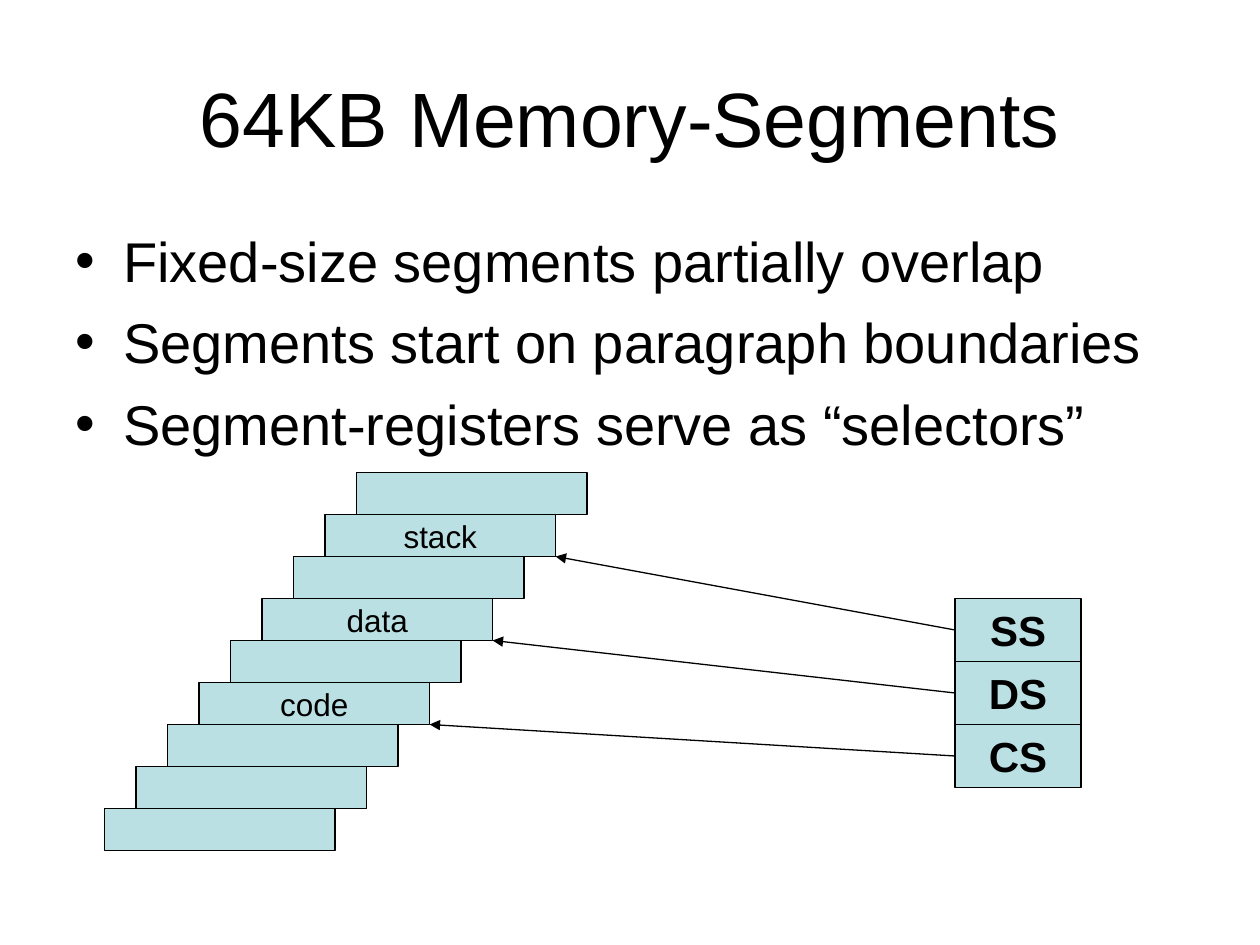
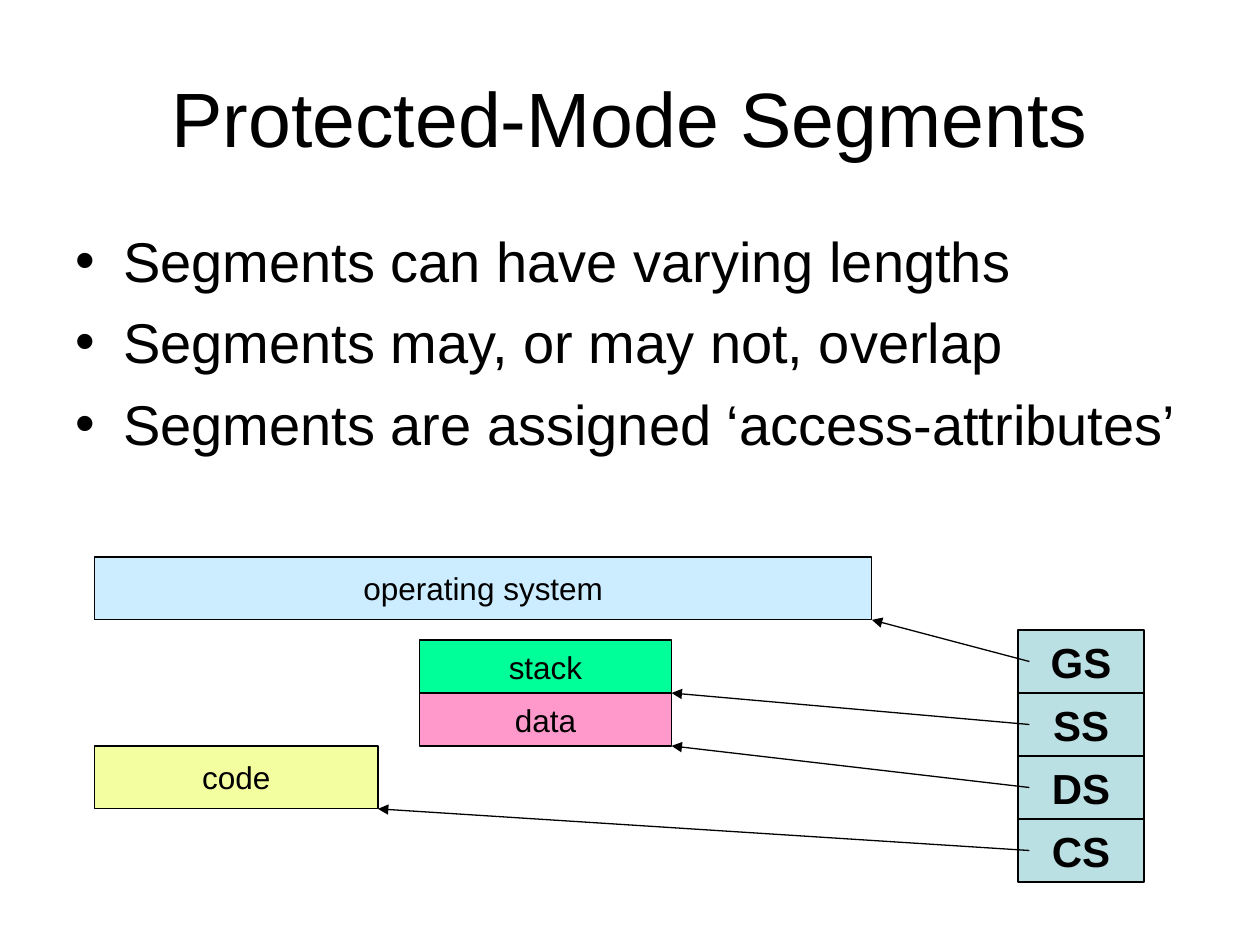
from lxml.etree import SubElement
from pptx import Presentation
from pptx.dml.color import RGBColor
from pptx.enum.shapes import MSO_CONNECTOR, MSO_SHAPE
from pptx.enum.text import MSO_ANCHOR, MSO_AUTO_SIZE, PP_ALIGN
from pptx.oxml.ns import qn
from pptx.util import Inches, Pt

FONT = "Arial"
BLACK = "000000"
TEAL = "BBE0E3"
LINE_WIDTH = Pt(0.75)
TITLE_ONLY = 5
REGISTER_WIDTH, REGISTER_HEIGHT = 1, 0.5


def color(hex_code):
    return RGBColor.from_string(hex_code)


def place(shape, left, top, width, height):
    shape.left, shape.top = Inches(left), Inches(top)
    shape.width, shape.height = Inches(width), Inches(height)


def write(frame, *lines, size, bold=False, align=PP_ALIGN.CENTER,
          anchor=MSO_ANCHOR.MIDDLE, wrap=True, before=0):
    """Fill a text frame with one paragraph per line and return the paragraphs."""
    frame.word_wrap = wrap
    frame.auto_size = MSO_AUTO_SIZE.NONE
    frame.vertical_anchor = anchor
    for index, line in enumerate(lines):
        paragraph = frame.paragraphs[0] if index == 0 else frame.add_paragraph()
        paragraph.alignment = align
        paragraph.space_before = Pt(before)
        run = paragraph.add_run()
        run.text = line
        run.font.name, run.font.size, run.font.bold = FONT, Pt(size), bold
        run.font.color.rgb = color(BLACK)
    return frame.paragraphs


def add_bullet(paragraph, indent=0.38):
    properties = paragraph._p.get_or_add_pPr()
    properties.set("marL", str(Inches(indent)))
    properties.set("indent", str(-Inches(indent)))
    SubElement(properties, qn("a:buFont"), typeface=FONT)
    SubElement(properties, qn("a:buChar"), char="•")


def add_topic_slide(deck, title, points):
    slide = deck.slides.add_slide(deck.slide_layouts[TITLE_ONLY])
    place(slide.shapes.title, 0.5, 0.3, 9, 1.25)
    write(slide.shapes.title.text_frame, title, size=44)
    body = slide.shapes.add_textbox(
        Inches(0.5), Inches(1.75), Inches(9), Inches(4.95))
    for paragraph in write(body.text_frame, *points, size=32, before=8,
                           align=PP_ALIGN.LEFT, anchor=MSO_ANCHOR.TOP):
        add_bullet(paragraph)
    return slide


def add_box(slide, left, top, width, height, label="", fill=TEAL, **text_format):
    box = slide.shapes.add_shape(MSO_SHAPE.RECTANGLE, Inches(left), Inches(top),
                                 Inches(width), Inches(height))
    box.shadow.inherit = False
    box.fill.solid()
    box.fill.fore_color.rgb = color(fill)
    box.line.color.rgb = color(BLACK)
    box.line.width = LINE_WIDTH
    if label:
        write(box.text_frame, label, wrap=False, **{"size": 18, **text_format})
    return box


def add_selector(slide, register, segment, inset):
    """Draw an arrow from a register to the lower right corner of its segment."""
    arrow = slide.shapes.add_connector(
        MSO_CONNECTOR.STRAIGHT,
        register.left + Inches(inset), register.top + register.height // 2,
        segment.left + segment.width, segment.top + segment.height)
    arrow.line.color.rgb = color(BLACK)
    arrow.line.width = LINE_WIDTH
    properties = arrow.element.spPr
    SubElement(properties.find(qn("a:ln")), qn("a:tailEnd"), type="triangle")
    SubElement(properties, qn("a:effectLst"))


def add_registers(slide, left, top, targets, inset=0):
    """Stack the registers, then point each one at its segment."""
    registers = [
        add_box(slide, left, top + row * REGISTER_HEIGHT, REGISTER_WIDTH,
                REGISTER_HEIGHT, name, size=24, bold=True)
        for row, name in enumerate(targets)]
    for register, segment in zip(registers, targets.values()):
        add_selector(slide, register, segment, inset)


def build_memory_segments(deck):
    slide = add_topic_slide(deck, "64KB Memory-Segments", [
        "Fixed-size segments partially overlap",
        "Segments start on paragraph boundaries",
        "Segment-registers serve as “selectors”"])
    step_labels = ["", "stack", "", "data", "", "code", "", "", ""]
    step_height = 1 / 3
    segments = {
        label: add_box(slide, 2.83 - 0.25 * step, 3.75 + step_height * step,
                       1.83, step_height, label)
        for step, label in enumerate(step_labels)}
    add_registers(slide, 7.58, 4.75, {
        "SS": segments["stack"], "DS": segments["data"], "CS": segments["code"]})


def build_protected_mode(deck):
    slide = add_topic_slide(deck, "Protected-Mode Segments", [
        "Segments can have varying lengths",
        "Segments may, or may not, overlap",
        "Segments are assigned ‘access-attributes’"])
    code = add_box(slide, 0.75, 5.92, 2.25, 0.5, "code", "F3FEA0")
    data = add_box(slide, 3.33, 5.5, 2, 0.42, "data", "FF99CC")
    stack = add_box(slide, 3.33, 5.08, 2, 0.42, "stack", "00FF99")
    system = add_box(slide, 0.75, 4.42, 6.17, 0.5, "operating system", "CCECFF")
    add_registers(slide, 8.08, 5, {
        "GS": system, "SS": stack, "DS": data, "CS": code}, inset=0.09)


def main():
    deck = Presentation()
    deck.slide_width, deck.slide_height = Inches(10), Inches(7.5)
    build_memory_segments(deck)
    build_protected_mode(deck)
    deck.save("out.pptx")


if __name__ == "__main__":
    main()
